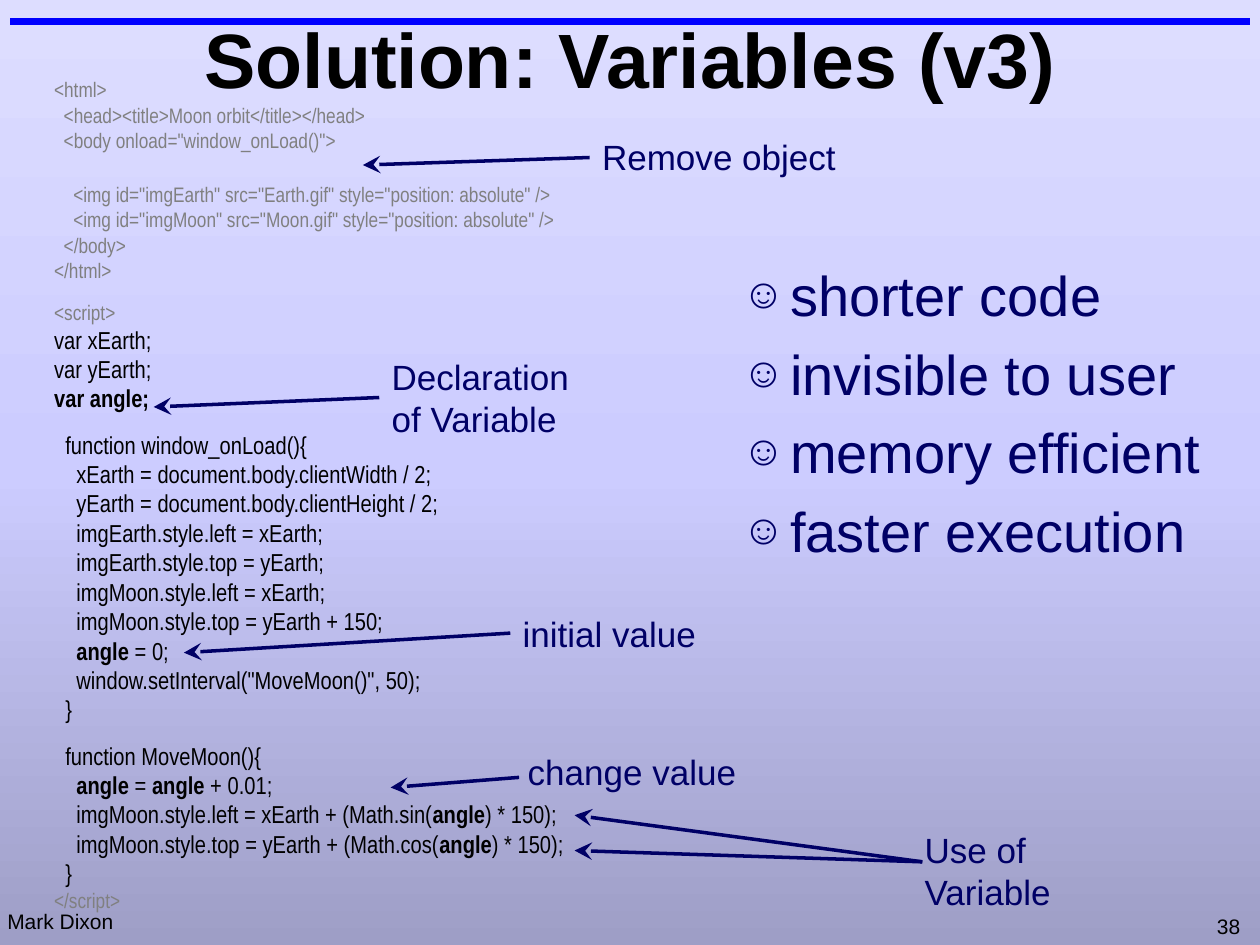
import copy

import pptx
import pptx.util
import pptx.dml.color
import pptx.enum.shapes
import pptx.enum.text
import pptx.oxml.ns

Inches = pptx.util.Inches
Pt = pptx.util.Pt
RGBColor = pptx.dml.color.RGBColor
qn = pptx.oxml.ns.qn
NO_FIT = pptx.enum.text.MSO_AUTO_SIZE.NONE
GROW = pptx.enum.text.MSO_AUTO_SIZE.SHAPE_TO_FIT_TEXT

BLACK = RGBColor(0x00, 0x00, 0x00)
GREY = RGBColor(0x80, 0x80, 0x80)
NAVY = RGBColor(0x00, 0x00, 0x66)
BLUE = RGBColor(0x00, 0x00, 0xFF)
BACKGROUND = [
    (0, RGBColor(0xDD, 0xDD, 0xFF)),
    (0.5, RGBColor(0xCC, 0xCC, 0xFF)),
    (1, RGBColor(0x9E, 0x9E, 0xC6)),
]

deck = pptx.Presentation()
deck.slide_width = Inches(10)
deck.slide_height = Inches(7.5)
page = deck.slides.add_slide(deck.slide_layouts[1])


def add_label(text, left, top, width, height, size, color):
    box = page.shapes.add_textbox(Inches(left), Inches(top), Inches(width), Inches(height))
    box.text_frame.word_wrap = False
    box.text_frame.auto_size = GROW
    para = box.text_frame.paragraphs[0]
    para.text = text
    para.font.name = "Arial"
    para.font.size = Pt(size)
    para.font.color.rgb = color
    return box


def add_line(start, end, color, width):
    line = page.shapes.add_connector(
        pptx.enum.shapes.MSO_CONNECTOR.STRAIGHT, *map(Inches, start + end))
    line.line.color.rgb = color
    line.line.width = Pt(width)
    properties = line._element.spPr
    properties.append(properties.makeelement(qn("a:effectLst"), {}))
    return line


# Background
fill = page.background.fill
fill.gradient()
fill.gradient_angle = 270
stop_list = next(page.element.iter(qn("a:gsLst")))
stop_list.insert(1, copy.deepcopy(stop_list[0]))
for stop, (position, color) in zip(fill.gradient_stops, BACKGROUND):
    stop.position = position
    stop.color.rgb = color

# Top rule and footer
add_line((0.08, 0.17), (9.92, 0.17), BLUE, 4)
add_label("Mark Dixon", -0.04, 7.16, 1.04, 0.3, 12, BLACK)
add_label("38", 9.56, 7.2, 0.4, 0.3, 12, BLACK)

# Code listing: (indent level, text, (size, colour), space before)
HTML = (12, GREY)
SCRIPT = (14, BLACK)
CODE = [
    (0, "<html>", HTML, 0),
    (1, "<head><title>Moon orbit</title></head>", HTML, 0),
    (1, "<body onload=\"window_onLoad()\">", HTML, 0),
    (2, "<img id=\"imgEarth\" src=\"Earth.gif\" style=\"position: absolute\" />", HTML, 16.7),
    (2, "<img id=\"imgMoon\" src=\"Moon.gif\" style=\"position: absolute\" />", HTML, 0),
    (1, "</body>", HTML, 0),
    (0, "</html>", HTML, 0),
    (0, "<script>", HTML, 9.6),
    (0, "var xEarth;", SCRIPT, 0),
    (0, "var yEarth;", SCRIPT, 0),
    (0, "var angle;", SCRIPT, 0),
    (1, "function window_onLoad(){", SCRIPT, 9.6),
    (2, "xEarth = document.body.clientWidth / 2;", SCRIPT, 0),
    (2, "yEarth = document.body.clientHeight / 2;", SCRIPT, 0),
    (2, "imgEarth.style.left = xEarth;", SCRIPT, 0),
    (2, "imgEarth.style.top = yEarth;", SCRIPT, 0),
    (2, "imgMoon.style.left = xEarth;", SCRIPT, 0),
    (2, "imgMoon.style.top = yEarth + 150;", SCRIPT, 0),
    (2, "angle = 0;", SCRIPT, 0),
    (2, "window.setInterval(\"MoveMoon()\", 50);", SCRIPT, 0),
    (1, "}", SCRIPT, 0),
    (1, "function MoveMoon(){", SCRIPT, 9.6),
    (2, "angle = angle + 0.01;", SCRIPT, 0),
    (2, "imgMoon.style.left = xEarth + (Math.sin(angle) * 150);", SCRIPT, 0),
    (2, "imgMoon.style.top = yEarth + (Math.cos(angle) * 150);", SCRIPT, 0),
    (1, "}", SCRIPT, 0),
    (0, "</script>", HTML, 0),
]
listing = page.shapes.add_textbox(Inches(0.39), Inches(0.57), Inches(4.17), Inches(6.78))
frame = listing.text_frame
frame.word_wrap = False
frame.margin_left = frame.margin_right = frame.margin_top = frame.margin_bottom = Inches(0.04)
for number, (level, text, (size, color), gap) in enumerate(CODE):
    para = frame.add_paragraph() if number else frame.paragraphs[0]
    para.font.name = "Arial Narrow"
    para.font.size = Pt(size)
    para.font.color.rgb = color
    para.space_before = Pt(gap)
    # One level is as wide as two spaces of the line's own size
    para._p.get_or_add_pPr().set("marL", str(Pt(level * size * 0.455)))
    if text == "var angle;":
        para.text = text
        para.font.bold = True
        continue
    for index, part in enumerate(text.split("angle")):
        if index:
            span = para.add_run()
            span.text = "angle"
            span.font.bold = True
        if part:
            para.add_run().text = part

# Title
title = page.shapes.title
title.left, title.top, title.width, title.height = map(Inches, (0.17, -0.17, 9.67, 1.25))
title.text_frame.auto_size = NO_FIT
title.text_frame.vertical_anchor = pptx.enum.text.MSO_ANCHOR.MIDDLE
para = title.text_frame.paragraphs[0]
para.text = "Solution: Variables (v3)"
para.alignment = pptx.enum.text.PP_ALIGN.CENTER
para.font.name = "Arial"
para.font.size = Pt(44)
para.font.bold = True
para.font.color.rgb = BLACK

# Benefits
benefits = page.placeholders[1]
benefits.left, benefits.top, benefits.width, benefits.height = map(Inches, (5.79, 2.02, 4.06, 2.6))
benefits.text_frame.auto_size = NO_FIT
benefits.text_frame.text = "shorter code\ninvisible to user\nmemory efficient\nfaster execution"
for para in benefits.text_frame.paragraphs:
    para.font.name = "Arial"
    para.font.size = Pt(32)
    para.font.color.rgb = NAVY
    properties = para._p.get_or_add_pPr()
    properties.set("marL", str(Inches(0.38)))
    properties.set("indent", str(-Inches(0.38)))
    bullet = (("a:buSzPct", "val", "75000"), ("a:buChar", "char", "☺"))
    for place, (tag, key, value) in enumerate(bullet):
        properties.insert(place, properties.makeelement(qn(tag), {key: value}))

# Callouts: text, box, arrow start (None joins the box's left side), arrow tips
CALLOUTS = [
    ("Declaration\nof Variable", (3.01, 2.77, 1.61, 0.77), None, [(1.22, 3.23)]),
    ("Use of\nVariable", (7.24, 6.53, 1.22, 0.77), (7.32, 6.84), [(4.56, 6.47), (4.56, 6.75)]),
    ("initial value", (4.05, 4.81, 1.58, 0.43), None, [(1.46, 5.18)]),
    ("change value", (4.09, 5.91, 1.87, 0.43), (4.12, 6.17), [(3.1, 6.25)]),
    ("Remove object", (4.68, 1.03, 2.07, 0.44), None, [(2.88, 1.31)]),
]
for text, area, start, tips in CALLOUTS:
    box = add_label(text, *area, 20, NAVY)
    for tip in tips:
        arrow = add_line(start or area[:2], tip, NAVY, 2)
        if start is None:
            arrow.begin_connect(box, 1)
        outline = arrow._element.spPr.find(qn("a:ln"))
        outline.append(outline.makeelement(
            qn("a:tailEnd"), {"type": "stealth", "w": "lg", "len": "lg"}))

deck.save("out.pptx")
